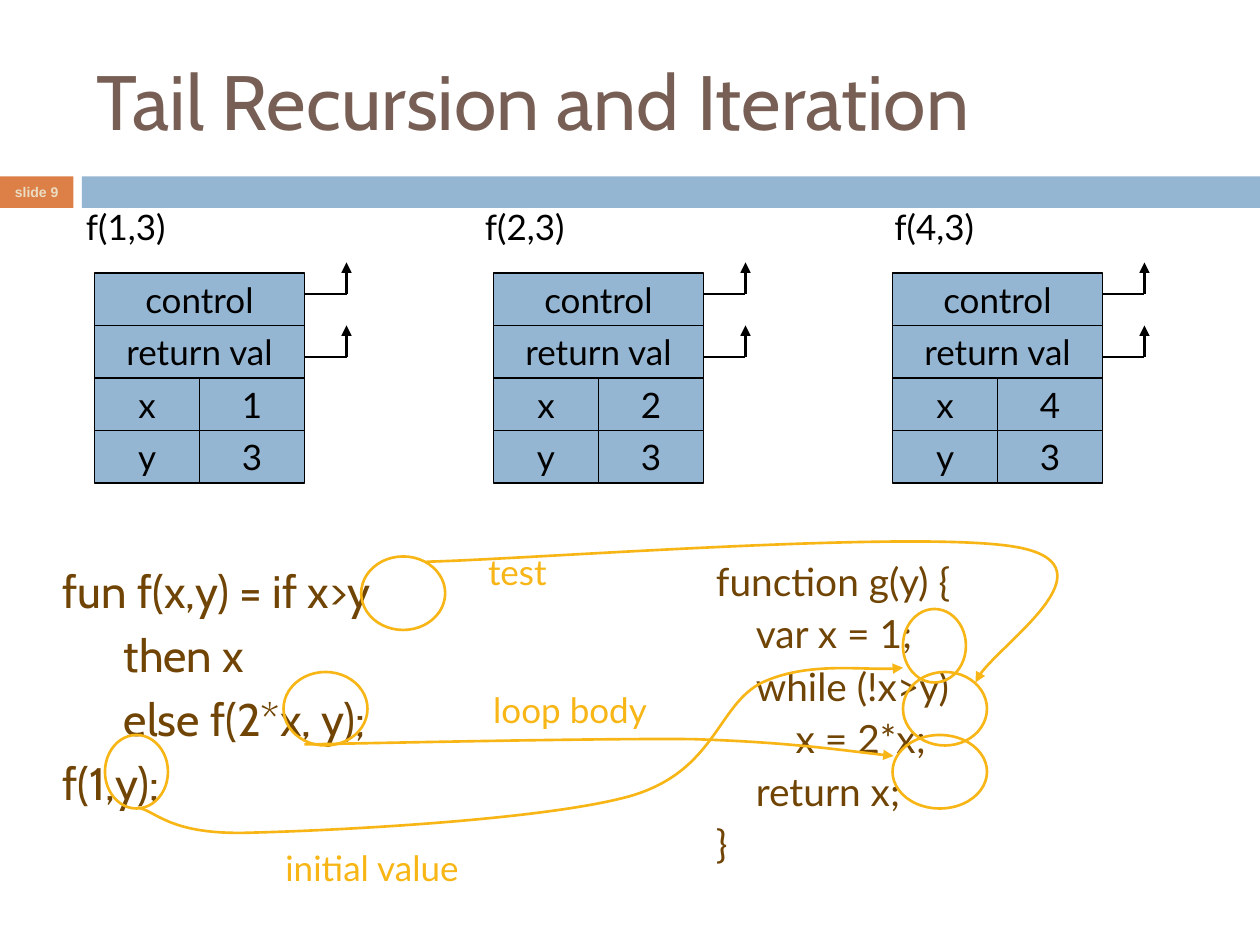
from dataclasses import dataclass

from lxml import etree
from pptx import Presentation
from pptx.dml.color import RGBColor
from pptx.enum.shapes import MSO_CONNECTOR, MSO_SHAPE
from pptx.enum.text import MSO_ANCHOR, MSO_AUTO_SIZE, PP_ALIGN
from pptx.oxml.ns import qn
from pptx.util import Pt

RECTANGLE, OVAL = MSO_SHAPE.RECTANGLE, MSO_SHAPE.OVAL
STRAIGHT = MSO_CONNECTOR.STRAIGHT
LEFT, CENTER = PP_ALIGN.LEFT, PP_ALIGN.CENTER
MIDDLE = MSO_ANCHOR.MIDDLE

EMU_PER_PX = 7620  # 120 px to the inch
TITLE_ONLY = 5


@dataclass(frozen=True)
class Theme:
    title: str = "775F55"
    code: str = "704404"
    ink: str = "000000"
    bar: str = "94B6D2"
    badge: str = "DD8047"
    badge_text: str = "EBDDC3"
    mark: str = "F7B615"
    heading_font: str = "Cabin"
    body_font: str = "Lato"
    badge_font: str = "Arial"
    title_size: float = 44
    main_code_size: float = 26
    side_code_size: float = 22.2
    text_size: float = 20
    badge_size: float = 8
    thin: float = 0.75
    thick: float = 1.5


def px(value):
    return value * EMU_PER_PX


class SlideBuilder:
    def __init__(self, slide, theme):
        self.slide = slide
        self.theme = theme

    def style_font(self, paragraph, size, color, name, bold=False):
        font = paragraph.font
        font.size, font.name, font.bold = Pt(size), name, bold
        font.color.rgb = RGBColor.from_string(color)

    def style_line(self, shape, color, width):
        shape.line.color.rgb = RGBColor.from_string(color)
        shape.line.width = Pt(width)

    def add_arrowhead(self, shape):
        line = shape.line._get_or_add_ln()
        etree.SubElement(line, qn("a:tailEnd"), type="triangle")

    def title(self, text, *box):
        shape = self.slide.shapes.title
        shape.left, shape.top, shape.width, shape.height = map(px, box)
        frame = shape.text_frame
        frame.text = text
        frame.auto_size = MSO_AUTO_SIZE.NONE
        frame.vertical_anchor = MIDDLE
        paragraph = frame.paragraphs[0]
        paragraph.alignment = LEFT
        self.style_font(paragraph, self.theme.title_size, self.theme.title,
                        self.theme.heading_font)

    def shape(self, kind, *box, fill=None, line=None, width=None):
        shape = self.slide.shapes.add_shape(kind, *map(px, box))
        shape.shadow.inherit = False
        if fill:
            shape.fill.solid()
            shape.fill.fore_color.rgb = RGBColor.from_string(fill)
        else:
            shape.fill.background()
        if line:
            self.style_line(shape, line, width)
        else:
            shape.line.fill.background()
        return shape

    def caption(self, shape, text, size, color, font, bold=False):
        frame = shape.text_frame
        frame.text = text
        frame.word_wrap = False
        frame.vertical_anchor = MIDDLE
        paragraph = frame.paragraphs[0]
        paragraph.alignment = CENTER
        self.style_font(paragraph, size, color, font, bold)

    def cell(self, text, *box):
        theme = self.theme
        shape = self.shape(RECTANGLE, *box, fill=theme.bar, line=theme.ink, width=theme.thin)
        self.caption(shape, text, theme.text_size, theme.ink, theme.body_font)

    def ring(self, *box):
        self.shape(OVAL, *box, line=self.theme.mark, width=self.theme.thick)

    def label(self, text, *box, color):
        frame = self.slide.shapes.add_textbox(*map(px, box)).text_frame
        frame.word_wrap = True
        frame.text = text
        self.style_font(frame.paragraphs[0], self.theme.text_size, color, self.theme.body_font)

    def code(self, lines, *box, margin, step, size, font, before, spacing):
        """Write (depth, text) lines, each indented by its depth."""
        frame = self.slide.shapes.add_textbox(*map(px, box)).text_frame
        frame.word_wrap = True
        for index, (depth, text) in enumerate(lines):
            paragraph = frame.add_paragraph() if index else frame.paragraphs[0]
            paragraph.text = text
            paragraph.space_before = Pt(before)
            paragraph.line_spacing = spacing
            properties = paragraph._p.get_or_add_pPr()
            properties.set("marL", str(px(margin + depth * step)))
            properties.set("indent", "0")
            self.style_font(paragraph, size, self.theme.code, font)

    def line(self, *ends, arrow=False):
        connector = self.slide.shapes.add_connector(STRAIGHT, *map(px, ends))
        self.style_line(connector, self.theme.ink, self.theme.thick)
        if arrow:
            self.add_arrowhead(connector)
        etree.SubElement(connector._element.spPr, qn("a:effectLst"))

    def curve(self, start, *controls):
        """Draw cubic curves; every three control points form one curve."""
        builder = self.slide.shapes.build_freeform(*start, scale=EMU_PER_PX)
        builder.add_line_segments(controls, close=False)
        shape = builder.convert_to_shape()
        segments = list(shape._element.iter(qn("a:lnTo")))
        for first in range(0, len(segments), 3):
            cubic = etree.Element(qn("a:cubicBezTo"))
            segments[first].addprevious(cubic)
            for segment in segments[first:first + 3]:
                cubic.append(segment[0])
                segment.getparent().remove(segment)
        shape.fill.background()
        self.style_line(shape, self.theme.mark, self.theme.thick)
        self.add_arrowhead(shape)
        shape.shadow.inherit = False

    def activation_record(self, left, x_value):
        top, row, half = 260, 50, 100
        right = left + 2 * half
        for index, text in enumerate(("control", "return val")):
            self.cell(text, left, top + index * row, 2 * half, row)
        for index, pair in enumerate((("x", x_value), ("y", "3")), start=2):
            for column, text in enumerate(pair):
                self.cell(text, left + column * half, top + index * row, half, row)
        for y in (280, 340):
            self.line(right, y, right + 40, y)
            self.line(right + 40, y, right + 40, y - 30, arrow=True)


def main():
    presentation = Presentation()
    presentation.slide_width, presentation.slide_height = px(1200), px(900)
    slide = presentation.slides.add_slide(presentation.slide_layouts[TITLE_ONLY])
    theme = Theme()
    page = SlideBuilder(slide, theme)

    # Title and header band
    page.title("Tail Recursion and Iteration", 80, 30, 1070, 130)
    badge = page.shape(RECTANGLE, 0, 168, 70, 30, fill=theme.badge)
    page.caption(badge, "slide 9", theme.badge_size, theme.badge_text, theme.badge_font, bold=True)
    page.shape(RECTANGLE, 78, 168, 1122, 30, fill=theme.bar)

    # Activation records of the three calls
    for index, (x_value, label_left) in enumerate((("1", 70), ("2", 450), ("4", 840))):
        page.activation_record(90 + index * 380, x_value)
        page.label(f"f({x_value},3)", label_left, 190, 150, 53, color=theme.ink)

    # Recursive and iterative code
    page.code([(0, "fun f(x,y) = if x>y"), (1, "then x"), (1, "else f(2*x, y);"), (0, "f(1,y);")],
              0, 530, 460, 280, margin=48, step=58, size=theme.main_code_size,
              font=theme.heading_font, before=5.5, spacing=1.0)
    page.code([(0, "function g(y) {"), (1, "var x = 1;"), (1, "while (!x>y)"),
               (2, "x = 2*x;"), (1, "return x;"), (0, "}")],
              610, 530, 400, 340, margin=60, step=38, size=theme.side_code_size,
              font=theme.body_font, before=6, spacing=0.9)

    # Initial value
    page.ring(860, 580, 60, 70)
    page.ring(100, 700, 60, 70)
    page.curve((131, 769), (150, 773), (162, 796), (241, 793), (319, 791), (520, 781), (601, 758),
               (682, 734), (683, 671), (726, 650), (769, 630), (832, 640), (860, 636))
    page.label("initial value", 260, 800, 300, 53, color=theme.mark)

    # Loop body
    page.ring(270, 640, 80, 70)
    page.curve((290, 709), (352, 708), (568, 703), (660, 704), (754, 707), (811, 716), (851, 720))
    page.ring(850, 700, 90, 70)
    page.label("loop body", 458, 650, 300, 53, color=theme.mark)

    # Test
    page.ring(344, 530, 80, 70)
    page.ring(860, 640, 80, 70)
    page.curve((406, 535), (500, 533), (886, 503), (973, 522), (1060, 541), (938, 623), (929, 650))
    page.label("test", 453, 518, 300, 53, color=theme.mark)

    presentation.save("out.pptx")


if __name__ == "__main__":
    main()
